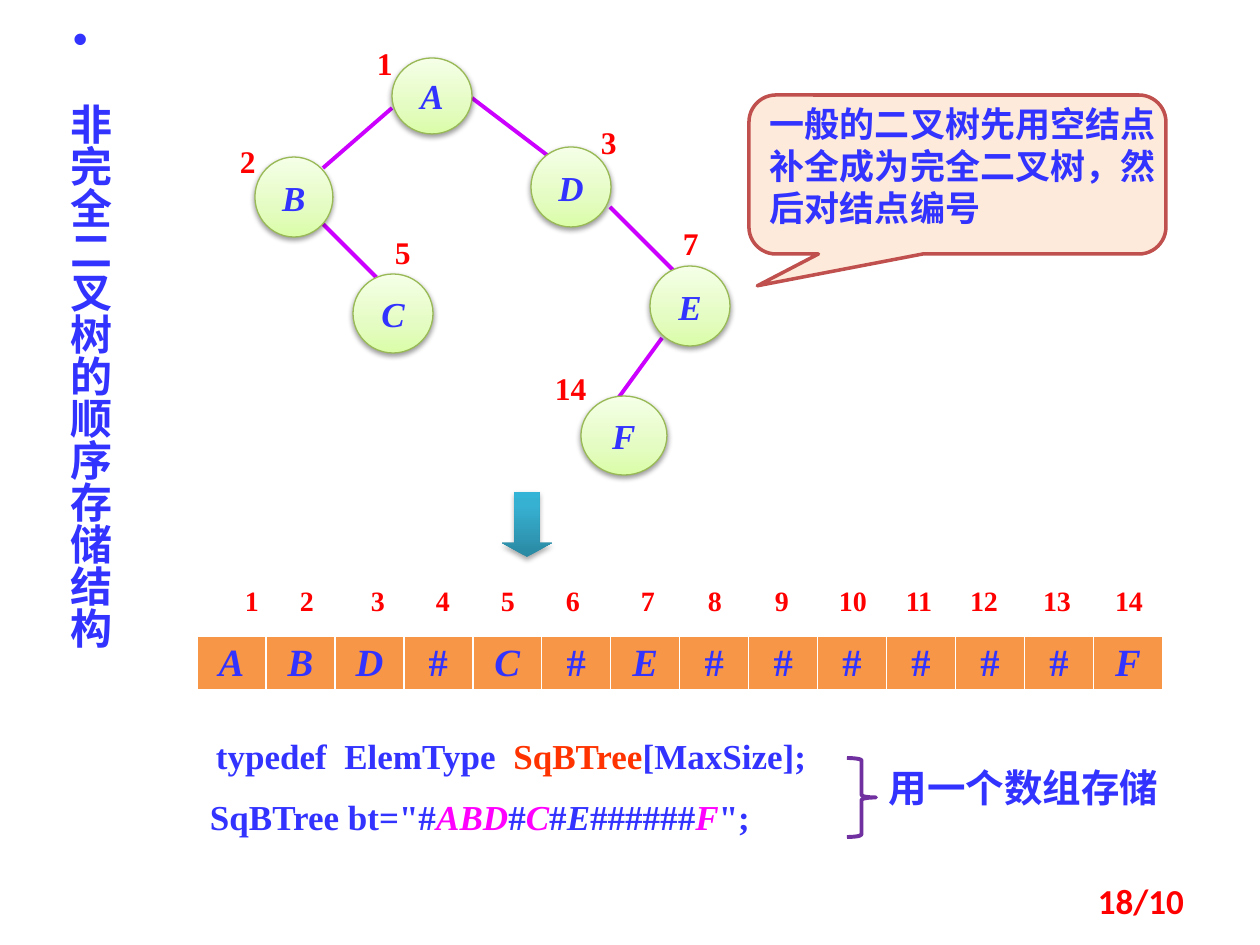
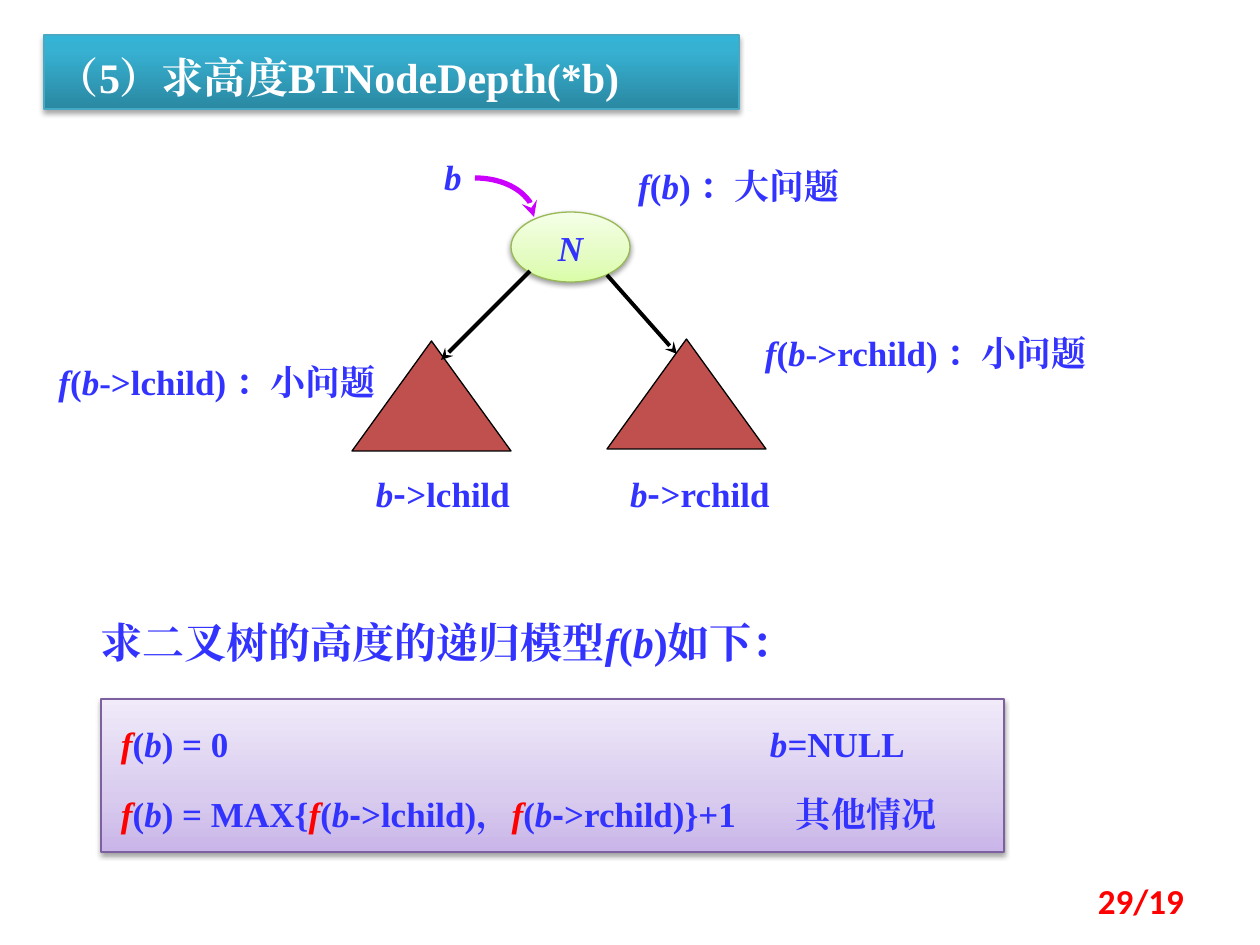
from copy import deepcopy

from lxml.etree import SubElement
from pptx import Presentation
from pptx.dml.color import RGBColor
from pptx.enum.shapes import MSO_CONNECTOR, MSO_SHAPE
from pptx.enum.text import MSO_ANCHOR, MSO_AUTO_SIZE, PP_ALIGN
from pptx.oxml.ns import qn
from pptx.util import Emu, Pt

SCALE = 914400 / 126
SERIF, SANS, FOOTER_FONT = "Times New Roman", "Noto Sans CJK SC", "Calibri"
BLUE, RED, WHITE, BLACK = "3333FF", "FF0000", "FFFFFF", "000000"
ORANGE, MAGENTA, VIOLET, PURPLE = "FF3300", "FF00FF", "CC00FF", "7030A0"
BRICK, PEACH, CELL = "C0504D", "FDEADA", "F79646"
GREEN_FADE = [(0, "DAFDA7"), (0.35, "E4FCC2"), (1, "F5FFE7")]
TEAL_FADE = [(0, "2A88A2"), (0.8, "37B1D2"), (1, "34B4D6")]
LILAC_FADE = [(0, "C9B5E8"), (0.35, "D8CBEE"), (1, "F0EAF9")]
SOFT_SHADOW, TEAL_SHADOW = (38, 1.6), (35, 1.8)
VARIABLE = {"italic": True}
CALL = {"italic": True, "color": RED}
MARKED = {"italic": True, "color": MAGENTA}


def px(length):
    """Turn pixels into EMU."""
    return Emu(round(length * SCALE))


def rgb(code):
    """Turn a hex string into a colour."""
    return RGBColor.from_string(code)


def write(frame, *lines, size=20, color=BLUE, font=SERIF, bold=True, italic=False,
          align=PP_ALIGN.LEFT, spacing=None, before=0):
    """Fill a text frame with lines, each a string or a list of strings and (text, format) pairs."""
    for index, line in enumerate(lines):
        para = frame.paragraphs[0] if index == 0 else frame.add_paragraph()
        para.alignment = align
        if spacing:
            para.line_spacing = spacing
        if index:
            para.space_before = Pt(before)
        for part in [line] if isinstance(line, str) else line:
            text, style = (part, {}) if isinstance(part, str) else part
            span = para.add_run()
            span.text = text
            span.font.size = Pt(size)
            span.font.bold = bold
            span.font.italic = style.get("italic", italic)
            span.font.color.rgb = rgb(style.get("color", color))
            span.font.name = style.get("font", font)
            latin = span.font.name
            SubElement(span.font._element, qn("a:ea")).set("typeface", latin)


def arrange(frame, insets=(13, 6, 13, 6), anchor=MSO_ANCHOR.TOP, wrap=True):
    """Set the insets, anchor and wrapping of a text frame."""
    frame.margin_left, frame.margin_top, frame.margin_right, frame.margin_bottom = map(px, insets)
    frame.vertical_anchor = anchor
    frame.word_wrap = wrap
    frame.auto_size = MSO_AUTO_SIZE.NONE


def add_text(page, box, *lines, insets=(13, 6, 13, 6), anchor=MSO_ANCHOR.TOP, **style):
    """Add a wrapped text box."""
    frame = page.shapes.add_textbox(*map(px, box)).text_frame
    arrange(frame, insets, anchor)
    write(frame, *lines, **style)


def paint(shape, fill=None, line=None, width=0.75, shadow=None):
    """Give a shape a plain or graded fill, an outline and a shadow."""
    if isinstance(fill, list):
        shape.fill.gradient()
        shape.fill.gradient_angle = 90
        stops = next(shape.element.spPr.iter(qn("a:gsLst")))
        stops.append(deepcopy(stops[0]))
        for stop, (position, code) in zip(shape.fill.gradient_stops, fill):
            stop.position = position
            stop.color.rgb = rgb(code)
    elif fill:
        shape.fill.solid()
        shape.fill.fore_color.rgb = rgb(fill)
    else:
        shape.fill.background()
    if line:
        shape.line.color.rgb = rgb(line)
        shape.line.width = Pt(width)
    else:
        shape.line.fill.background()
    shape.shadow.inherit = False
    if shadow:
        opacity, distance = shadow
        effects = shape.element.spPr.find(qn("a:effectLst"))
        outer = SubElement(effects, qn("a:outerShdw"), blurRad=str(Pt(3.1)), dist=str(Pt(distance)),
                           dir="5400000", rotWithShape="0")
        tint = SubElement(outer, qn("a:srgbClr"), val=BLACK)
        SubElement(tint, qn("a:alpha"), val=str(opacity * 1000))


def add_shape(page, kind, box, adjust=(), **look):
    """Add a painted preset shape."""
    shape = page.shapes.add_shape(kind, *map(px, box))
    for index, value in enumerate(adjust):
        shape.adjustments[index] = value
    paint(shape, **look)
    return shape


def add_stealth(shape):
    """Put a stealth arrowhead at the end of an outline."""
    SubElement(shape.element.spPr.find(qn("a:ln")), qn("a:tailEnd"), type="stealth")


def add_edge(page, start, end, color, arrow=False):
    """Draw a straight tree edge."""
    edge = page.shapes.add_connector(MSO_CONNECTOR.STRAIGHT, *map(px, (*start, *end)))
    edge.line.color.rgb = rgb(color)
    edge.line.width = Pt(2.25)
    if arrow:
        add_stealth(edge)
    SubElement(edge.element.spPr, qn("a:effectLst"))


def add_node(page, box, name):
    """Draw a green tree node."""
    node = add_shape(page, MSO_SHAPE.OVAL, box, fill=GREEN_FADE, line="98B955", shadow=SOFT_SHADOW)
    arrange(node.text_frame, anchor=MSO_ANCHOR.MIDDLE, wrap=False)
    write(node.text_frame, name, italic=True, align=PP_ALIGN.CENTER)


def start_page(deck, title_box, number):
    """Add a title-only slide with its page number and return it with its title."""
    page = deck.slides.add_slide(deck.slide_layouts[5])
    title = page.shapes.title
    title.left, title.top, title.width, title.height = map(px, title_box)
    arrange(title.text_frame)
    add_text(page, (903, 876, 294, 50), number, font=FOOTER_FONT, color=RED,
             align=PP_ALIGN.RIGHT, anchor=MSO_ANCHOR.MIDDLE)
    return page, title


def set_vertical_title(title, text):
    """Write a bulleted title that runs downwards."""
    frame = title.text_frame
    frame._txBody.bodyPr.set("vert", "eaVert")
    frame.auto_size = MSO_AUTO_SIZE.SHAPE_TO_FIT_TEXT
    properties = frame.paragraphs[0]._p.get_or_add_pPr()
    properties.set("marL", str(px(63)))
    properties.set("indent", str(-px(63)))
    SubElement(properties, qn("a:buFont"), typeface="Arial")
    SubElement(properties, qn("a:buChar"), char="•")
    write(frame, text, size=24, font=SANS, align=PP_ALIGN.CENTER)


def draw_numbered_tree(page, box):
    """Draw the tree whose nodes carry their numbers."""
    left, top = box[:2]
    edges = [((68, 166), (130, 228)), ((355, 149), (424, 218)), ((217, 40), (296, 100)),
             ((137, 50), (68, 110)), ((407, 280), (364, 339))]
    nodes = [("A", 137, 0, 80, 76), ("B", 0, 99, 78, 80), ("C", 98, 216, 80, 79),
             ("D", 276, 89, 80, 80), ("E", 395, 208, 80, 80), ("F", 326, 338, 86, 79)]
    numbers = [("1", 109, -20), ("2", -28, 78), ("3", 333, 59), ("5", 127, 169),
               ("7", 415, 160), ("14", 287, 305)]
    for start, end in edges:
        add_edge(page, (left + start[0], top + start[1]), (left + end[0], top + end[1]), VIOLET)
    for name, x, y, width, height in nodes:
        add_node(page, (left + x, top + y, width, height), name)
    for number, x, y in numbers:
        add_text(page, (left + x, top + y, 62, 50), number, size=18, color=RED)


def draw_callout(page, box):
    """Draw the callout on completing the tree."""
    callout = add_shape(page, MSO_SHAPE.ROUNDED_RECTANGULAR_CALLOUT, box, (-0.48, 0.7, 0.17),
                        fill=PEACH, line=BRICK, width=2)
    arrange(callout.text_frame, insets=(13, 0, 0, 6))
    write(callout.text_frame, "一般的二叉树先用空结点补全成为完全二叉树，然后对结点编号", font=SANS)


def draw_array(page, box):
    """Draw the storage array as a table below its index numbers."""
    left, top, width, height = box
    centers = [55, 110, 181, 246, 311, 376, 451, 518, 585, 656, 722, 787, 860, 932]
    for index, center in enumerate(centers, 1):
        add_text(page, (left + center - 33, top - 59, 66, 47), str(index), size=16, color=RED,
                 align=PP_ALIGN.CENTER)
    items = "ABD#C#E######F"
    table = page.shapes.add_table(1, len(items), *map(px, box)).table
    table.rows[0].height = px(height)
    for column, item in enumerate(items):
        table.columns[column].width = px(width / len(items))
        cell = table.cell(0, column)
        write(cell.text_frame, item, size=22, italic=item != "#", align=PP_ALIGN.CENTER)
        for side, points in zip("LRTB", (1, 1, 1, 3)):
            border = SubElement(cell._tc.get_or_add_tcPr(), qn(f"a:ln{side}"), w=str(Pt(points)))
            SubElement(SubElement(border, qn("a:solidFill")), qn("a:srgbClr"), val=WHITE)
        cell.fill.solid()
        cell.fill.fore_color.rgb = rgb(CELL)


def draw_declaration(page, box):
    """Write the two code lines and the braced remark beside them."""
    left, top = box[:2]
    add_text(page, (left + 6, top, 674, 54),
             ["typedef  ElemType  ", ("SqBTree", {"color": ORANGE}), "[MaxSize];"])
    add_text(page, (left, top + 61, 601, 54),
             ['SqBTree bt="#', ("ABD", MARKED), "#", ("C", MARKED), "#", ("E", VARIABLE),
              "######", ("F", MARKED), '";'])
    add_shape(page, MSO_SHAPE.RIGHT_BRACE, (left + 650, top + 30, 29, 79), line=PURPLE, width=2.25)
    add_text(page, (left + 679, top + 30, 325, 59), "用一个数组存储", size=22, font=SANS)


def build_storage_page(deck):
    """Build the slide on sequential storage."""
    page, title = start_page(deck, (52, 35, 76, 693), "18/10")
    set_vertical_title(title, "非完全二叉树的顺序存储结构")
    draw_numbered_tree(page, (255, 58, 475, 417))
    draw_callout(page, (749, 95, 417, 159))
    add_shape(page, MSO_SHAPE.DOWN_ARROW, (502, 492, 50, 65), (0.5, 0.28),
              fill=TEAL_FADE, shadow=TEAL_SHADOW)
    draw_array(page, (197, 636, 966, 52))
    draw_declaration(page, (197, 728, 1004, 115))


def problem(argument, note):
    """Return the spans of a call f(b...) followed by a note."""
    return [("f", VARIABLE), "(", ("b", VARIABLE), f"{argument}) ：{note}"]


def draw_subproblems(page, box):
    """Draw the root with its two subtrees and their problems."""
    left, top = box[:2]
    add_node(page, (left + 159, top + 44, 119, 70), "N")
    pointer = add_shape(page, MSO_SHAPE.ARC, (left + 64, top + 10, 118, 78), line=VIOLET, width=3)
    add_stealth(pointer)
    for x, y in ((0, 173), (255, 171)):
        add_shape(page, MSO_SHAPE.ISOSCELES_TRIANGLE, (left + x, top + y, 159, 110),
                  fill=BRICK, line=BLACK)
    for start, end in (((178, 103), (89, 192)), ((255, 107), (325, 186))):
        add_edge(page, (left + start[0], top + start[1]), (left + end[0], top + end[1]),
                 BLACK, arrow=True)
    labels = [((51, -19, 100), [("b", VARIABLE)]),
              ((259, -10, 256), problem("", "大问题")),
              ((387, 157, 374), problem("->rchild", "小问题")),
              ((-322, 186, 374), problem("->lchild", "小问题"))]
    for x, child in ((-28, "lchild"), (229, "rchild")):
        labels.append(((x, 298, 238), [("b", VARIABLE), ("-", {"font": SANS}), f">{child}"]))
    for (x, y, width), spans in labels:
        add_text(page, (left + x, top + y, width, 55), spans, align=PP_ALIGN.CENTER)


def draw_model(page, box):
    """Write the recursive model under its heading."""
    left, top, width = box[:3]
    insets = (20, 15, 20, 15)
    add_text(page, (left - 20, top - 108, 932, 91),
             ["求二叉树的高度的递归模型", ("f", VARIABLE), "(", ("b", VARIABLE), ")如下："],
             size=24, spacing=1.2, insets=insets)
    panel = add_shape(page, MSO_SHAPE.RECTANGLE, box, fill=LILAC_FADE, line="7D60A0",
                      shadow=SOFT_SHADOW)
    arrange(panel.text_frame, insets)
    dash, call = ("-", {"font": "Arial"}), [("f", CALL), "(", ("b", VARIABLE)]
    write(panel.text_frame,
          [*call, ") = 0\t", ("b", VARIABLE), "=NULL"],
          [*call, ") = MAX{", *call, dash, ">lchild)，", *call, dash, ">rchild)}+1\t其他情况"],
          spacing=1.2, before=11.5)
    for para, position in zip(panel.text_frame.paragraphs, (649, 675)):
        tabs = SubElement(para._p.get_or_add_pPr(), qn("a:tabLst"))
        SubElement(tabs, qn("a:tab"), pos=str(px(position)), algn="l")


def build_height_page(deck):
    """Build the slide on the height of a tree."""
    page, title = start_page(deck, (44, 35, 695, 74), "29/19")
    paint(title, fill=TEAL_FADE, line="46AAC5", shadow=TEAL_SHADOW)
    write(title.text_frame, "（5）求高度BTNodeDepth(*b)", size=24, color=WHITE, spacing=1.2)
    draw_subproblems(page, (352, 168, 414, 390))
    draw_model(page, (101, 699, 903, 153))


def main():
    """Build and save the deck."""
    deck = Presentation()
    deck.slide_width, deck.slide_height = px(1260), px(945)
    build_storage_page(deck)
    build_height_page(deck)
    deck.save("out.pptx")


if __name__ == "__main__":
    main()
